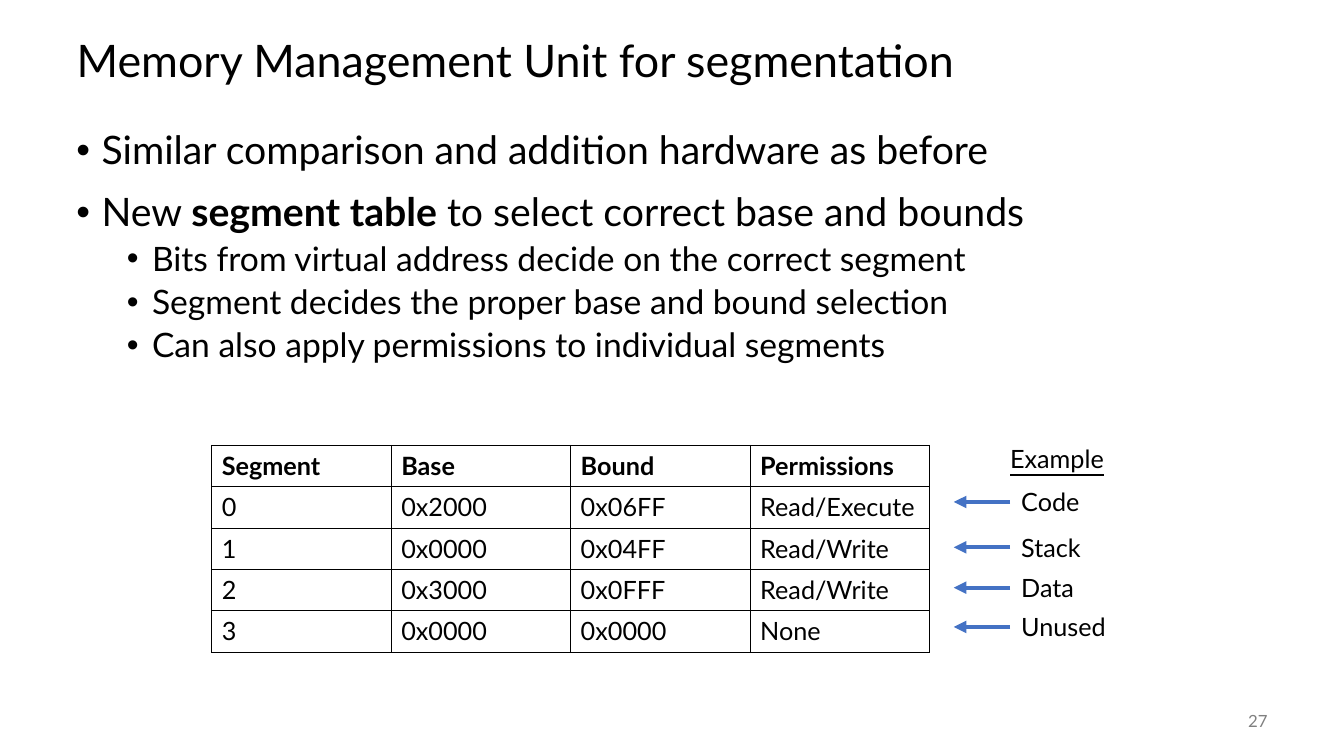
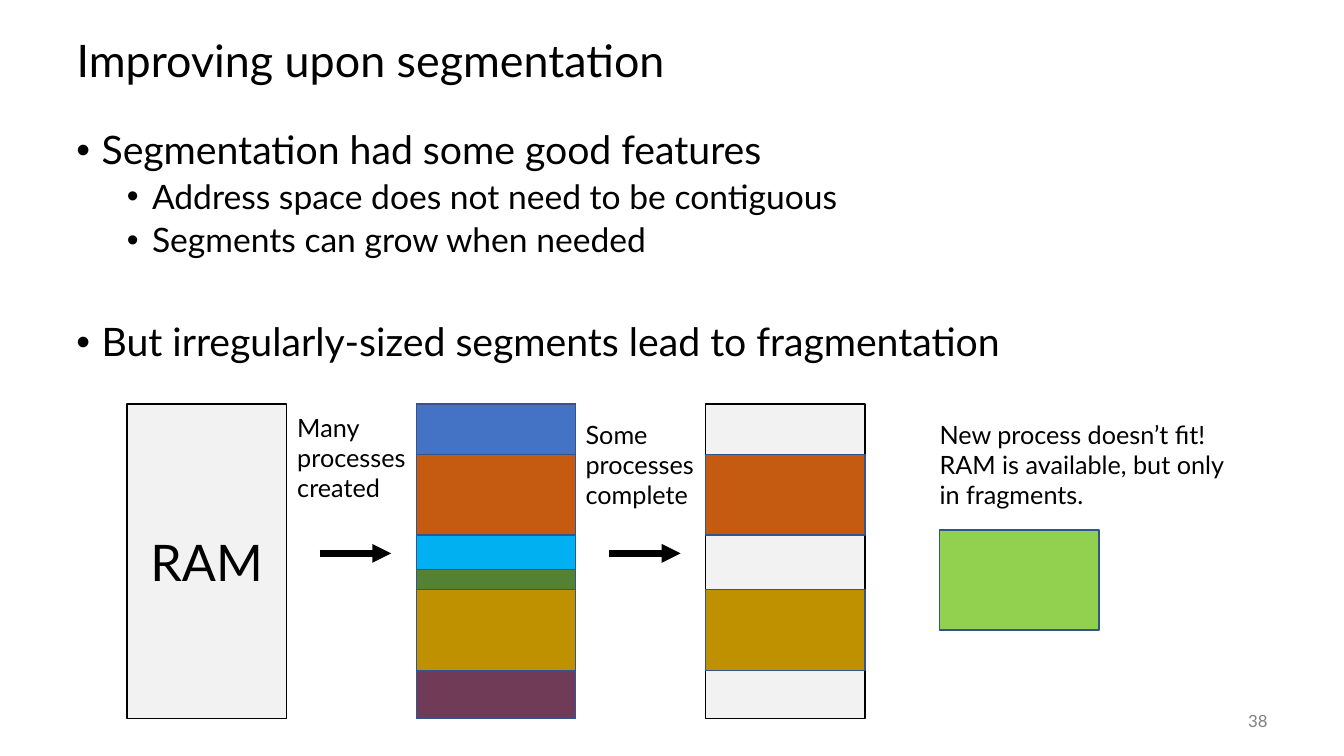
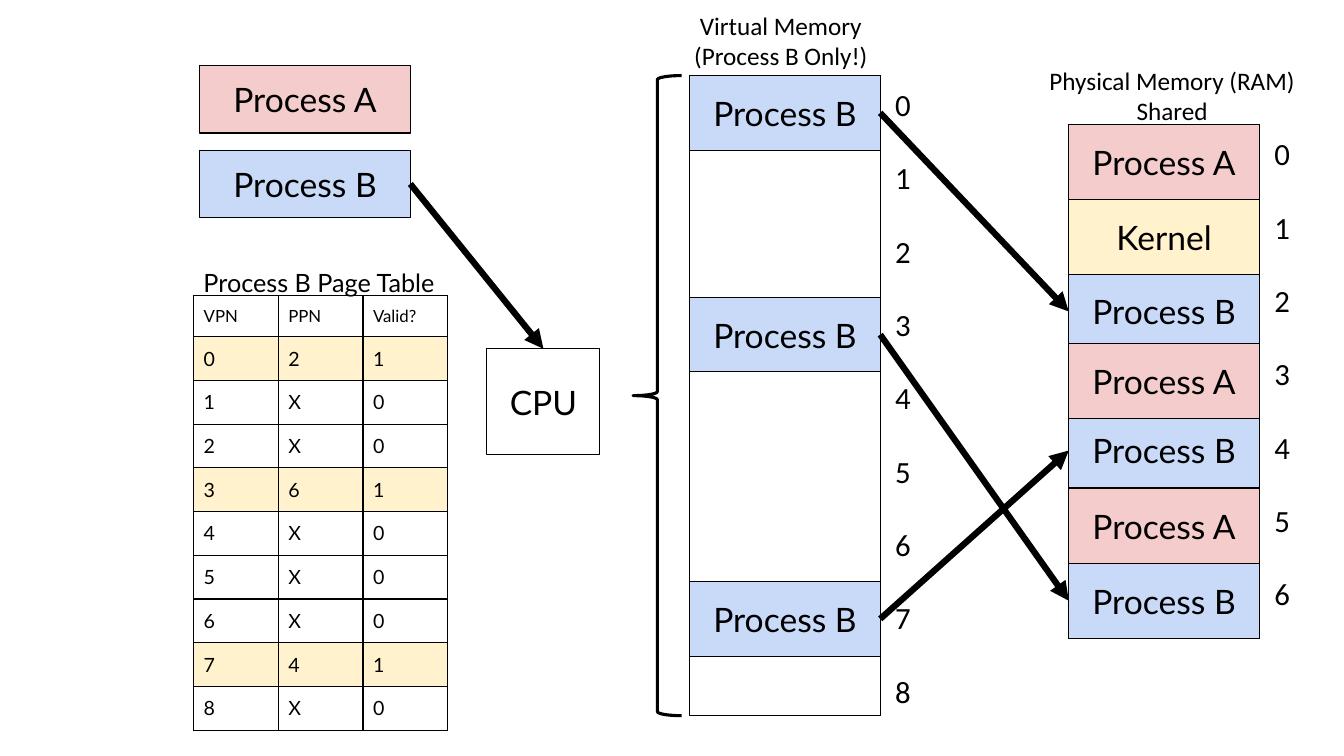
from lxml import etree
from pptx import Presentation
from pptx.dml.color import RGBColor
from pptx.enum.shapes import MSO_CONNECTOR, MSO_SHAPE
from pptx.enum.text import MSO_ANCHOR, PP_ALIGN
from pptx.oxml.ns import qn
from pptx.util import Inches, Pt

LEFT, CENTER, RIGHT = PP_ALIGN.LEFT, PP_ALIGN.CENTER, PP_ALIGN.RIGHT
TOP, MIDDLE = MSO_ANCHOR.TOP, MSO_ANCHOR.MIDDLE
RECTANGLE, LEFT_BRACE = MSO_SHAPE.RECTANGLE, MSO_SHAPE.LEFT_BRACE
STRAIGHT = MSO_CONNECTOR.STRAIGHT
RIGHT_SIDE, LEFT_SIDE, TOP_SIDE = 3, 1, 0

color = RGBColor.from_string
BLACK, WHITE, GRAY, BLUE, OUTLINE = "000000", "FFFFFF", "808080", "4472C4", "325491"
LIGHT_GRAY, ORANGE, GOLD = "F2F2F2", "C55A11", "BF9000"
PINK, PALE_BLUE, CREAM = "F4CCCC", "C9DAF8", "FFF2CC"
FONT = "Lato"


def add_box(slide, text, left, top, width, height, fill=None, line=BLACK, line_width=0.75,
            size=18, font=FONT, font_color=BLACK, align=LEFT, anchor=TOP, margin=0.05, gap=0):
    """Add a filled, outlined rectangle, or a plain text box when no fill is given."""
    place = [Inches(length) for length in (left, top, width, height)]
    if fill:
        shape = slide.shapes.add_shape(RECTANGLE, *place)
        shape.shadow.inherit = False
        shape.fill.solid()
        shape.fill.fore_color.rgb = color(fill)
        shape.line.color.rgb = color(line)
        shape.line.width = Pt(line_width)
        align, anchor = CENTER, MIDDLE
    else:
        shape = slide.shapes.add_textbox(*place)
    frame = shape.text_frame
    frame.word_wrap = True
    frame.vertical_anchor = anchor
    frame.margin_top = frame.margin_bottom = Inches(margin)
    for index, words in enumerate(text.split("\n") if text else []):
        paragraph = frame.add_paragraph() if index else frame.paragraphs[0]
        paragraph.alignment = align
        if index and gap:
            paragraph.space_before = Pt(gap)
        run = paragraph.add_run()
        run.text = words
        run.font.name = font
        run.font.size = Pt(size)
        run.font.color.rgb = color(font_color)
    return shape


def add_arrow(slide, start, end, line=BLACK, width=4.5):
    connector = slide.shapes.add_connector(
        STRAIGHT, *[Inches(length) for length in (*start, *end)])
    connector.line.color.rgb = color(line)
    connector.line.width = Pt(width)
    etree.SubElement(connector.line._get_or_add_ln(), qn("a:tailEnd"), type="triangle")
    etree.SubElement(connector._element.spPr, qn("a:effectLst"))
    return connector


presentation = Presentation()
presentation.slide_width = Inches(13.33)
presentation.slide_height = Inches(7.5)
title_only, blank = presentation.slide_layouts[5], presentation.slide_layouts[6]

# Titles, bullets and slide numbers: each bullet is (level, space before, text)
bullet_slides = []
for title_text, number, bullets in [
    ("Memory Management Unit for segmentation", "27", [
        (0, 0, "Similar comparison and addition hardware as before"),
        (0, 14, "New **segment table** to select correct base and bounds"),
        (1, 5, "Bits from virtual address decide on the correct segment"),
        (1, 5, "Segment decides the proper base and bound selection"),
        (1, 5, "Can also apply permissions to individual segments"),
    ]),
    ("Improving upon segmentation", "38", [
        (0, 0, "Segmentation had some good features"),
        (1, 5, "Address space does not need to be contiguous"),
        (1, 5, "Segments can grow when needed"),
        (0, 45, "But irregularly-sized segments lead to fragmentation"),
    ]),
]:
    slide = presentation.slides.add_slide(title_only)
    bullet_slides.append(slide)
    title = slide.shapes.title
    title.left, title.top = Inches(0.66), Inches(0.25)
    title.width, title.height = Inches(12), Inches(0.75)
    title.text_frame.vertical_anchor = MIDDLE
    paragraph = title.text_frame.paragraphs[0]
    paragraph.alignment = LEFT
    paragraph.line_spacing = 0.9
    run = paragraph.add_run()
    run.text = title_text
    run.font.name = FONT
    run.font.size = Pt(32)
    run.font.color.rgb = color(BLACK)

    frame = add_box(slide, "", 0.66, 1.25, 12, 5.5).text_frame
    for index, (level, space, text) in enumerate(bullets):
        paragraph = frame.add_paragraph() if index else frame.paragraphs[0]
        paragraph.level = level
        paragraph.line_spacing = 0.9
        if space:
            paragraph.space_before = Pt(space)
        properties = paragraph._p.get_or_add_pPr()
        properties.set("marL", str(Inches(0.25 + 0.5 * level)))
        properties.set("indent", str(Inches(-0.25)))
        etree.SubElement(properties, qn("a:buFont"), typeface="Arial")
        etree.SubElement(properties, qn("a:buChar"), char="•")
        for part, words in enumerate(text.split("**")):
            run = paragraph.add_run()
            run.text = words
            run.font.name = FONT
            run.font.size = Pt(28 - 4 * level)
            run.font.bold = part % 2 == 1
            run.font.color.rgb = color(BLACK)
    add_box(slide, number, 11.67, 6.95, 1, 0.4, size=12, font_color=GRAY,
            align=RIGHT, anchor=MIDDLE)

segment_slide, fragment_slide = bullet_slides
paging_slide = presentation.slides.add_slide(blank)

# Segment table and page table
segment_rows = [
    ("Segment", "Base", "Bound", "Permissions"),
    ("0", "0x2000", "0x06FF", "Read/Execute"),
    ("1", "0x0000", "0x04FF", "Read/Write"),
    ("2", "0x3000", "0x0FFF", "Read/Write"),
    ("3", "0x0000", "0x0000", "None"),
]
frame_of_page = {0: "2", 3: "6", 7: "4"}
page_rows = [("VPN", "PPN", "Valid?")] + [
    (str(page), frame_of_page.get(page, "X"), "1" if page in frame_of_page else "0")
    for page in range(9)]

for slide, rows, left, top, column_width, row_height, header_size, size, margin in [
    (segment_slide, segment_rows, 2.1, 4.42, 1.78, 0.41, 18, 18, 0.05),
    (paging_slide, page_rows, 1.92, 2.93, 0.84, 0.43, 12, 14, 0.1),
]:
    columns = len(rows[0])
    table = slide.shapes.add_table(
        len(rows), columns, Inches(left), Inches(top),
        Inches(column_width * columns), Inches(row_height * len(rows))).table
    table.first_row = table.horz_banding = False
    for column in table.columns:
        column.width = Inches(column_width)
    for row_index, values in enumerate(rows):
        table.rows[row_index].height = Inches(row_height if row_index else 0.41)
        for column_index, value in enumerate(values):
            cell = table.cell(row_index, column_index)
            cell.margin_left = cell.margin_right = Inches(0.1)
            cell.margin_top = cell.margin_bottom = Inches(margin)
            properties = cell._tc.get_or_add_tcPr()
            for side in ("lnL", "lnR", "lnT", "lnB"):
                border = etree.SubElement(properties, qn("a:" + side), w=str(Pt(1)))
                solid = etree.SubElement(border, qn("a:solidFill"))
                etree.SubElement(solid, qn("a:srgbClr"), val=BLACK)
            if values[-1] == "1":
                cell.fill.solid()
                cell.fill.fore_color.rgb = color(CREAM)
            else:
                cell.fill.background()
            run = cell.text_frame.paragraphs[0].add_run()
            run.text = value
            run.font.name = FONT
            run.font.size = Pt(size if row_index else header_size)
            run.font.bold = slide is segment_slide and row_index == 0
            run.font.color.rgb = color(BLACK)

# Examples beside the segment table
example = add_box(segment_slide, "Example", 9.92, 4.35, 1.92, 0.4)
example.text_frame.paragraphs[0].runs[0].font.underline = True
for name, top in [("Code", 4.78), ("Stack", 5.23), ("Data", 5.63), ("Unused", 6.02)]:
    add_box(segment_slide, name, 10.03, top, 1.92, 0.4)
    add_arrow(segment_slide, (10.02, top + 0.2), (9.46, top + 0.2), BLUE, 3)

# Three states of RAM
ram_top, ram_width, ram_height = 4.01, 1.58, 3.12
ram_lefts = [1.26 + 2.87 * state for state in range(3)]
for left, label in zip(ram_lefts, ("RAM", "", "")):
    add_box(fragment_slide, label, left, ram_top, ram_width, ram_height,
            LIGHT_GRAY, line_width=1, size=36)
top = ram_top
for fill, height in [(BLUE, 0.5), (ORANGE, 0.8), ("00B0F0", 0.34),
                     ("548235", 0.2), (GOLD, 0.8), ("703B56", 0.48)]:
    still_running = fill in (ORANGE, GOLD)
    for left in ram_lefts[1:] if still_running else ram_lefts[1:2]:
        add_box(fragment_slide, "", left, top, ram_width, height, fill, OUTLINE, 1)
    top += height
for left in ram_lefts[:2]:
    add_arrow(fragment_slide, (left + 1.91, 5.49), (left + 2.62, 5.49))
add_box(fragment_slide, "Many processes created", 2.85, 4.04, 1.43, 1.01)
add_box(fragment_slide, "Some processes complete", 5.71, 4.11, 1.58, 1.01)
add_box(fragment_slide, "New process doesn’t fit!\nRAM is available, but only in fragments.",
        9.22, 4.11, 3.15, 1.01)
add_box(fragment_slide, "", 9.32, 5.26, ram_width, 0.99, "92D050", OUTLINE, 1)

# Processes and CPU
add_box(paging_slide, "Process B Page Table", 1.92, 2.6, 2.53, 0.4)
cpu = add_box(paging_slide, "CPU", 4.83, 3.46, 1.12, 1.05, WHITE, size=24)
add_box(paging_slide, "Process A", 1.98, 0.65, 2.09, 0.67, PINK, size=24)
process_b = add_box(paging_slide, "Process B", 1.98, 1.49, 2.09, 0.67, PALE_BLUE, size=24)
arrow = add_arrow(paging_slide, (4.07, 1.82), (5.39, 3.46))
arrow.begin_connect(process_b, RIGHT_SIDE)
arrow.end_connect(cpu, TOP_SIDE)

# Virtual and physical memory
virtual_left, physical_left, memory_width, page_height = 6.84, 10.6, 1.89, 0.74
for caption, left, top, width in [
    ("Virtual Memory\n(Process B Only!)", 6.58, 0, 2.33),
    ("Physical Memory (RAM)\nShared", 10.17, 0.55, 2.91),
]:
    add_box(paging_slide, caption, left, top, width, 0.75, font="Calibri",
            align=CENTER, margin=0.1)
for left, top, height, count in [(virtual_left, 0.75, 6.35, 9), (physical_left, 1.24, 5.09, 7)]:
    add_box(paging_slide, "", left, top, memory_width, height, WHITE)
    add_box(paging_slide, "\n".join(str(page) for page in range(count)),
            left + 1.94, top, 0.4, height, size=22, font="Calibri", margin=0.1, gap=26)

frames = {}
for name, fill, top in [
    ("Process A", PINK, 1.24), ("Kernel", CREAM, 1.98), ("Process B", PALE_BLUE, 2.72),
    ("Process B", PALE_BLUE, 4.1), ("Process A", PINK, 3.41),
    ("Process A", PINK, 4.85), ("Process B", PALE_BLUE, 5.59),
]:
    frames[top] = add_box(paging_slide, name, physical_left, top, memory_width, page_height,
                          fill, size=24)
for page_top, frame_top in [(0.75, 2.72), (2.95, 5.59), (5.77, 4.1)]:
    page = add_box(paging_slide, "Process B", virtual_left, page_top, memory_width, page_height,
                   PALE_BLUE, size=24)
    arrow = add_arrow(paging_slide, (virtual_left + memory_width, page_top + page_height / 2),
                      (physical_left, frame_top + page_height / 2))
    arrow.begin_connect(page, RIGHT_SIDE)
    arrow.end_connect(frames[frame_top], LEFT_SIDE)

brace = paging_slide.shapes.add_shape(
    LEFT_BRACE, Inches(6.28), Inches(0.75), Inches(0.48), Inches(6.35))
brace.shadow.inherit = False
brace.fill.background()
brace.line.color.rgb = color(BLACK)
brace.line.width = Pt(2.25)

presentation.save("out.pptx")
